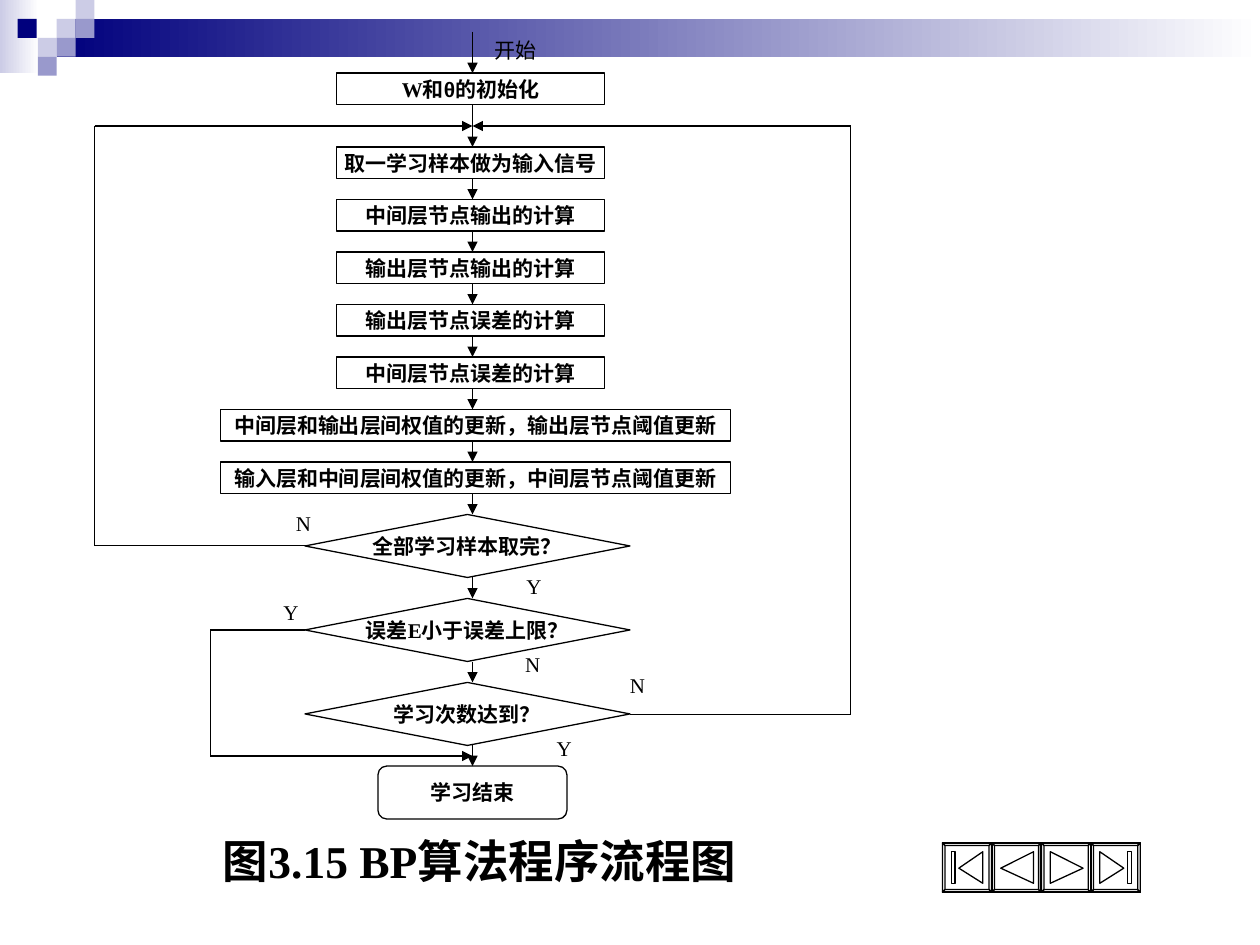
from lxml import etree
from pptx import Presentation
from pptx.dml.color import RGBColor
from pptx.enum.shapes import MSO_CONNECTOR, MSO_SHAPE
from pptx.enum.text import MSO_ANCHOR, MSO_AUTO_SIZE, PP_ALIGN
from pptx.oxml.ns import qn
from pptx.util import Inches, Pt

RECT = MSO_SHAPE.RECTANGLE
DIAMOND = MSO_SHAPE.FLOWCHART_DECISION
ROUND = MSO_SHAPE.FLOWCHART_ALTERNATE_PROCESS
STRAIGHT = MSO_CONNECTOR.STRAIGHT
LEFT, CENTER = PP_ALIGN.LEFT, PP_ALIGN.CENTER

COLORS = {"ink": "000000", "paper": "FFFFFF", "navy": "00007D",
          "mid": "9999CC", "pale": "CCCCE6"}
FONT = "Times New Roman"

BANDS = [(0, 0, 0.31, 0.58, "pale"), (0.45, 0.15, 9.55, 0.3, "navy")]
TILES = [(0.45, 0.15, "pale"), (0.6, 0, "pale"), (0.6, 0.15, "mid"),
         (0.3, 0.3, "pale"), (0.14, 0.15, "navy"), (0.45, 0.3, "mid"),
         (0.3, 0.45, "mid")]

START = [("W和", FONT), ("θ", "Arial"), ("的初始化", FONT)]
STEPS = ["取一学习样本做为输入信号", "中间层节点输出的计算",
         "输出层节点输出的计算", "输出层节点误差的计算", "中间层节点误差的计算"]
UPDATES = ["中间层和输出层间权值的更新，输出层节点阈值更新",
           "输入层和中间层间权值的更新，中间层节点阈值更新"]
TESTS = ["全部学习样本取完？", "误差E小于误差上限？", "学习次数达到？"]

LOOPS = [
    [(2.42, 4.33), (0.75, 4.33), (0.75, 1), (3.75, 1)],
    [(5, 5.67), (6.75, 5.67), (6.75, 1), (3.75, 1)],
    [(2.42, 5), (1.67, 5), (1.67, 6), (3.75, 6)],
]
LABELS = [("Y", 4.32, 5.79), ("N", 4.9, 5.29), ("N", 4.07, 5.12),
          ("Y", 2.15, 4.71), ("Y", 4.08, 4.5), ("N", 2.25, 4)]

# Icon outlines, measured from the corner of each button
ICONS = [
    [[(0.13, 0.2), (0.32, 0.07), (0.32, 0.32)],
     [(0.07, 0.07), (0.1, 0.07), (0.1, 0.32), (0.07, 0.32)]],
    [[(0.07, 0.2), (0.33, 0.07), (0.33, 0.32)]],
    [[(0.07, 0.07), (0.33, 0.2), (0.07, 0.32)]],
    [[(0.26, 0.2), (0.07, 0.32), (0.07, 0.07)],
     [(0.29, 0.07), (0.29, 0.32), (0.32, 0.32), (0.32, 0.07)]],
]

AXIS = 3.75
PITCH = 5 / 12
ROW = 0.25


def color(name):
    return RGBColor.from_string(COLORS[name])


def outline(shape):
    shape.shadow.inherit = False
    shape.fill.solid()
    shape.fill.fore_color.rgb = color("paper")
    shape.line.color.rgb = color("ink")
    shape.line.width = Pt(0.75)


def write(shape, text, size=12, bold=False, align=LEFT, anchor=MSO_ANCHOR.TOP):
    """Set one paragraph from a string or a list of (text, font) runs."""
    frame = shape.text_frame
    frame.word_wrap = False
    frame.vertical_anchor = anchor
    para = frame.paragraphs[0]
    para.alignment = align
    runs = [(text, FONT)] if isinstance(text, str) else text
    for part, face in runs:
        run = para.add_run()
        run.text = part
        run.font.name = face
        run.font.size = Pt(size)
        run.font.bold = bold
        run.font.color.rgb = color("ink")


def add_block(shapes, kind, x, y, w, h):
    """Add a plain block without a line."""
    shape = shapes.add_shape(kind, *map(Inches, (x, y, w, h)))
    shape.shadow.inherit = False
    shape.line.fill.background()
    return shape


def add_node(shapes, kind, text, x, y, w, h):
    shape = add_block(shapes, kind, x, y, w, h)
    outline(shape)
    write(shape, text, bold=True, align=CENTER, anchor=MSO_ANCHOR.MIDDLE)


def add_label(shapes, text, x, y, w, h, **style):
    box = shapes.add_textbox(*map(Inches, (x, y, w, h)))
    write(box, text, **style)
    box.text_frame.auto_size = MSO_AUTO_SIZE.SHAPE_TO_FIT_TEXT


def add_line(shapes, start, end, arrow=False):
    line = shapes.add_connector(STRAIGHT, *map(Inches, (*start, *end)))
    line.line.color.rgb = color("ink")
    line.line.width = Pt(0.75)
    if arrow:
        etree.SubElement(line.line._get_or_add_ln(), qn("a:tailEnd"), type="triangle")
    etree.SubElement(line._element.spPr, qn("a:effectLst"))


def add_button(shapes, left, top, icon, side=0.39, rim=0.02):
    outer = [(0, 0), (side, 0), (side, side), (0, side)]
    far = side - rim
    inner = [(rim, rim), (far, rim), (far, far), (rim, far)]
    edges = [[outer[i], outer[(i + 1) % 4], inner[(i + 1) % 4], inner[i]]
             for i in range(4)]
    rings = [[(Inches(left + x), Inches(top + y)) for x, y in ring]
             for ring in [outer, *edges, *icon]]
    pen = shapes.build_freeform(*rings[0][0], scale=1.0)
    for i, ring in enumerate(rings):
        if i:
            pen.move_to(*ring[0])
        pen.add_line_segments(ring[1:], close=True)
    outline(pen.convert_to_shape())


def add_decor(shapes):
    for x, y, w, h, name in BANDS:
        fill = add_block(shapes, RECT, x, y, w, h).fill
        fill.gradient()
        fill.gradient_angle = 0
        for stop, tone, spot in zip(fill.gradient_stops, (name, "paper"), (0, 1)):
            stop.color.rgb = color(tone)
            stop.position = spot
    for x, y, name in TILES:
        fill = add_block(shapes, RECT, x, y, 0.15, 0.15).fill
        fill.solid()
        fill.fore_color.rgb = color(name)
    for i, icon in enumerate(ICONS):
        add_button(shapes, 7.48 + i * 0.393, 6.69, icon)


def add_flow(shapes):
    first = 7 / 6
    wide = first + len(STEPS) * PITCH
    test = wide + len(UPDATES) * PITCH
    nodes = [(RECT, START, 2.67, 0.58, 2.13, ROW)]
    nodes += [(RECT, text, 2.67, first + i * PITCH, 2.13, ROW)
              for i, text in enumerate(STEPS)]
    nodes += [(RECT, text, 1.75, wide + i * PITCH, 4.05, ROW)
              for i, text in enumerate(UPDATES)]
    nodes += [(DIAMOND, text, 2.42, test + i * 2 / 3, 2.58, 0.5)
              for i, text in enumerate(TESTS)]
    nodes.append((ROUND, "学习结束", 3, 6.08, 1.5, 0.42))

    end = 0.25
    for kind, text, x, y, w, h in nodes:
        add_node(shapes, kind, text, x, y, w, h)
        add_line(shapes, (AXIS, end), (AXIS, y), arrow=True)
        end = y + h
    for loop in LOOPS:
        for i in range(3):
            add_line(shapes, loop[i], loop[i + 1], arrow=i == 2)


def main():
    deck = Presentation()
    deck.slide_width, deck.slide_height = Inches(10), Inches(7.5)
    shapes = deck.slides.add_slide(deck.slide_layouts[6]).shapes
    add_decor(shapes)
    add_flow(shapes)
    add_label(shapes, "开始", 3.83, 0.25, 0.53, 0.3)
    for text, x, y in LABELS:
        add_label(shapes, text, x, y, 0.32, 0.3)
    add_label(shapes, "图3.15 BP算法程序流程图", 1.67, 6.56, 4.49, 0.54,
              size=26, bold=True)
    deck.save("out.pptx")


if __name__ == "__main__":
    main()
